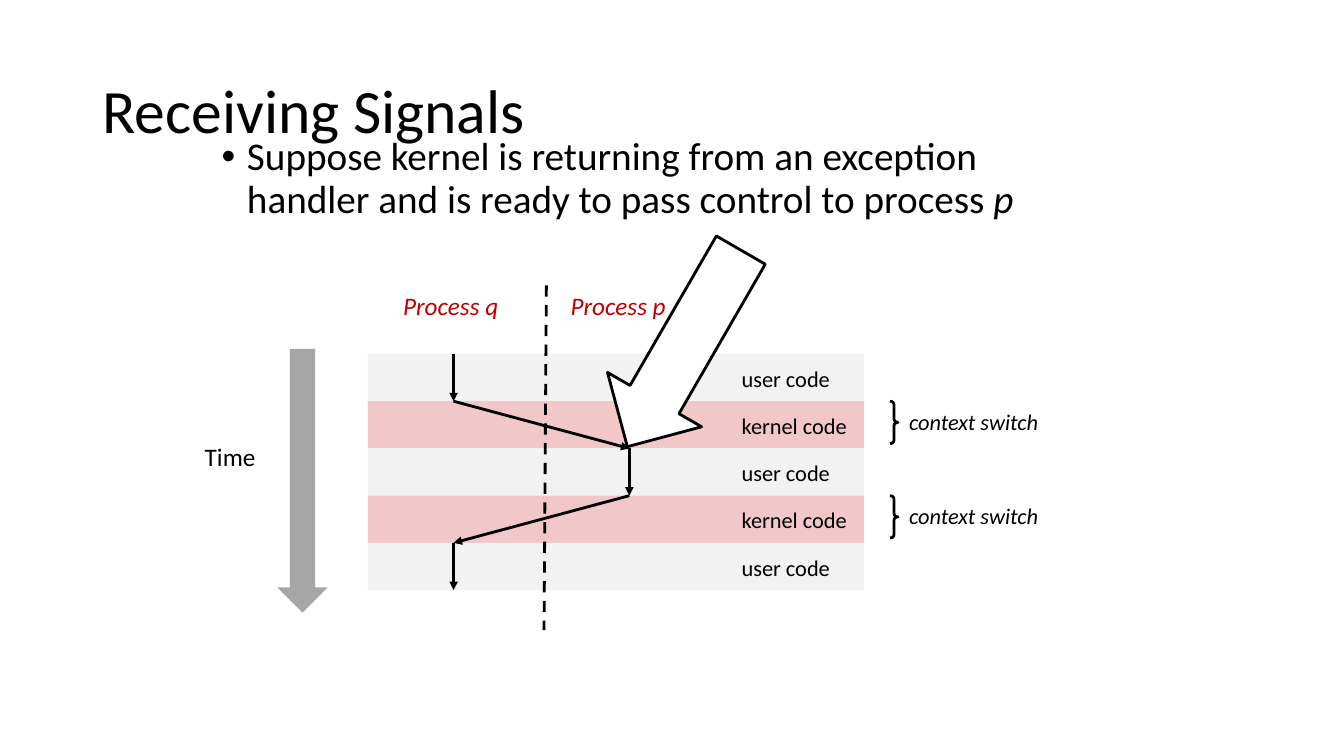
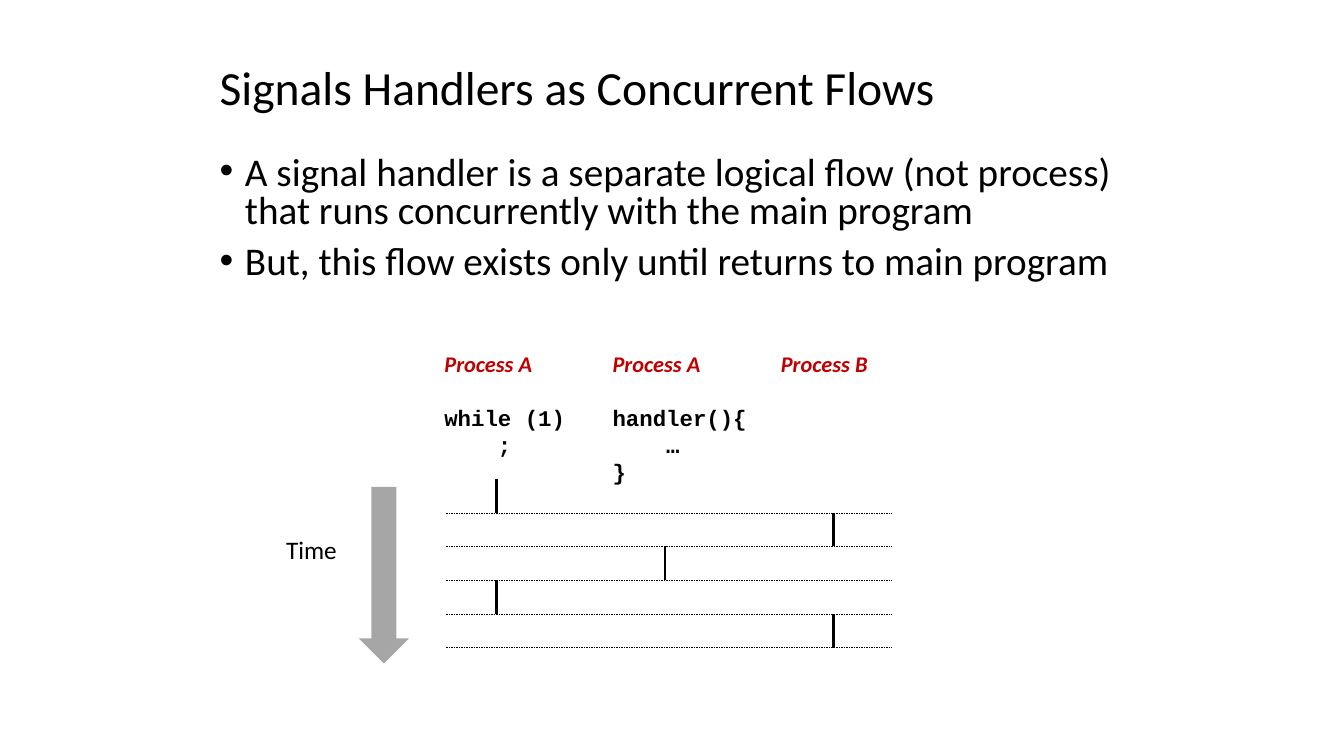
from pptx import Presentation
from pptx import util as u
from pptx.dml import color as clr
from pptx.enum import dml, shapes, text
from pptx.oxml import ns
from lxml import etree

HUES = {"ink": "000000", "red": "C00000", "user": "F2F2F2",
        "kernel": "F1C7C7", "time": "A6A6A6", "white": "FFFFFF"}
SANS, MONO = "Calibri", "Courier New"
KIND = shapes.MSO_SHAPE


def hue(name):
    """Return the named colour."""
    return clr.RGBColor.from_string(HUES[name])


def style(font, size, tint="ink", face=SANS, bold=False, slant=False):
    """Set every trait of a font."""
    font.name, font.size = face, u.Pt(size)
    font.bold, font.italic = bold, slant
    font.color.rgb = hue(tint)


def place(item, box):
    """Move an item to a box given in centimetres."""
    item.left, item.top, item.width, item.height = map(u.Cm, box)


def shape(slide, kind, box, fill=None, edge=False, adj=()):
    """Add a flat preset shape."""
    item = slide.shapes.add_shape(kind, *map(u.Cm, box))
    item.shadow.inherit = False
    for i, val in enumerate(adj):
        item.adjustments[i] = val
    if fill:
        item.fill.solid()
        item.fill.fore_color.rgb = hue(fill)
    else:
        item.fill.background()
    if edge:
        item.line.color.rgb = hue("ink")
        item.line.width = u.Pt(2)
    else:
        item.line.fill.background()
    return item


def line(slide, start, end, width=2, dash=False, head=False):
    """Add a straight line, dashed or with an arrowhead if asked."""
    item = slide.shapes.add_connector(
        shapes.MSO_CONNECTOR.STRAIGHT, *map(u.Cm, (*start, *end)))
    item.line.color.rgb = hue("ink")
    item.line.width = u.Pt(width)
    if dash:
        item.line.dash_style = dml.MSO_LINE.DASH
    props = item._element.spPr
    if head:
        tip = etree.SubElement(props.find(ns.qn("a:ln")), ns.qn("a:tailEnd"))
        tip.set("type", "triangle")
    etree.SubElement(props, ns.qn("a:effectLst"))


def label(slide, words, box, size=16, **look):
    """Add a one-line label and return its text frame."""
    frame = slide.shapes.add_textbox(*map(u.Cm, box)).text_frame
    frame.word_wrap = False
    frame.auto_size = text.MSO_AUTO_SIZE.SHAPE_TO_FIT_TEXT
    para = frame.paragraphs[0]
    para.text = words
    style(para.font, size, **look)
    return frame


def page(deck, name, box, size):
    """Add a slide with its title."""
    slide = deck.slides.add_slide(deck.slide_layouts[1])
    title = slide.shapes.title
    place(title, box)
    frame = title.text_frame
    frame.text = name
    frame.auto_size = text.MSO_AUTO_SIZE.NONE
    frame.vertical_anchor = text.MSO_ANCHOR.MIDDLE
    para = frame.paragraphs[0]
    para.alignment = text.PP_ALIGN.LEFT
    para.line_spacing = 0.9
    style(para.font, size)
    return slide


def points(slide, items, box, lead):
    """Fill the body with bulleted items and return its text frame."""
    body = slide.placeholders[1]
    place(body, box)
    frame = body.text_frame
    frame.text = "\n".join(items)
    frame.auto_size = text.MSO_AUTO_SIZE.NONE
    for para in frame.paragraphs:
        para.line_spacing = lead
        para.space_before = u.Pt(10)
        style(para.font, 28)
        props = para._p.get_or_add_pPr()
        props.set("marL", str(u.Cm(0.64)))
        props.set("indent", str(u.Cm(-0.64)))
    return frame


def clock(slide, box, drop):
    """Draw the time arrow with its label on the left."""
    x, y, wide, high = box
    label(slide, "Time", (x - 2.08, y + drop, 1.8, 1.02), 18)
    shape(slide, KIND.DOWN_ARROW, box, "time")


def switch(slide, box):
    """Draw control passing between two processes through the kernel."""
    x, y, wide, high = box
    step = high / 5
    left, mid, right = x + 2.16, x + 4.47, x + 6.59
    rows = ["user", "kernel"] * 2 + ["user"]
    for i, row in enumerate(rows):
        top = y + i * step
        shape(slide, KIND.RECTANGLE, (x, top, wide, step), row)
        size = 3.25 if row == "kernel" else 2.79
        label(slide, f"{row} code", (x + 9.17, top + 0.15, size, 0.94))
        if row == "kernel":
            shape(slide, KIND.RIGHT_BRACE, (x + 13.16, top, 0.2, 1.07),
                  edge=True, adj=(0.417, 0.5))
            label(slide, "context switch",
                  (x + 13.39, top + 0.05, 3.91, 0.94), slant=True)
    for name, gap in (("q", 0.64), ("p", 4.86)):
        label(slide, f"Process {name}", (x + gap, y - 1.73, 3, 1.02), 18,
              tint="red", slant=True)
    line(slide, (mid + 0.03, y - 1.73), (mid - 0.03, y + 6.96), dash=True)
    lanes = (left, left, right, right, left, left)
    stops = [(lane, y + i * step) for i, lane in enumerate(lanes)]
    for start, end in zip(stops, stops[1:]):
        line(slide, start, end, head=True)
    arrow = shape(slide, KIND.DOWN_ARROW, (x + 6.6, y - 3, 2.74, 5.72),
                  "white", True, (0.519, 0.5))
    arrow.rotation = 30


def flows(slide, spot):
    """Draw three flows that take turns over time."""
    x, y = spot
    step, pitch, start = 0.85, 4.24, 3.38
    cols = [("Process A", 3.56, [("while (1)", 0), (";", 1.35)]),
            ("Process A", 3.91, [("handler(){", 0), ("…", 1.35), ("}", 0)]),
            ("Process B", 2.74, [])]
    for i, (name, wide, code) in enumerate(cols):
        frame = label(slide, name, (x + i * pitch, y, wide, 0.94),
                      tint="red", bold=True, slant=True)
        for j, (words, inset) in enumerate(code):
            para = frame.add_paragraph()
            para.text = words
            style(para.font, 16, face=MONO, bold=True)
            para.space_before = u.Pt(0 if j else 19.5)
            para._p.get_or_add_pPr().set("marL", str(u.Cm(inset)))
    for i, col in enumerate((0, 2, 1, 0, 2)):
        top = y + start + i * step
        mark = x + 1.57 + col * pitch
        line(slide, (mark, top), (mark, top + step))
        line(slide, (x + 0.3, top + step), (x + 11.53, top + step),
             0.25, dash=True)


def receive(deck):
    """Build the slide on receiving signals."""
    slide = page(deck, "Receiving Signals", (2.33, 1.01, 29.21, 3.68), 44)
    frame = points(slide, [
        "Suppose kernel is returning from an exception handler "
        "and is ready to pass control to process "],
        (5.33, 3.32, 21.95, 3.02), 0.9)
    run = frame.paragraphs[0].add_run()
    run.text = "p"
    run.font.italic = True
    switch(slide, (9.27, 8.92, 12.5, 5.95))
    clock(slide, (6.99, 8.79, 1.27, 6.65), 2.21)


def handle(deck):
    """Build the slide on handlers as flows."""
    slide = page(deck, "Signals Handlers as Concurrent Flows",
                 (5.28, 1.22, 21.08, 2.11), 34)
    points(slide, [
        "A signal handler is a separate logical flow (not process) "
        "that runs concurrently with the main program",
        "But, this flow exists only until returns to main program"],
        (5.28, 3.81, 23.09, 3.61), 0.8)
    flows(slide, (10.95, 8.69))
    clock(slide, (9.04, 12.27, 1.27, 4.45), 1.07)


def main():
    """Build and save the deck."""
    deck = Presentation()
    deck.slide_width, deck.slide_height = u.Cm(33.87), u.Cm(19.05)
    receive(deck)
    handle(deck)
    deck.save("out.pptx")


main()
